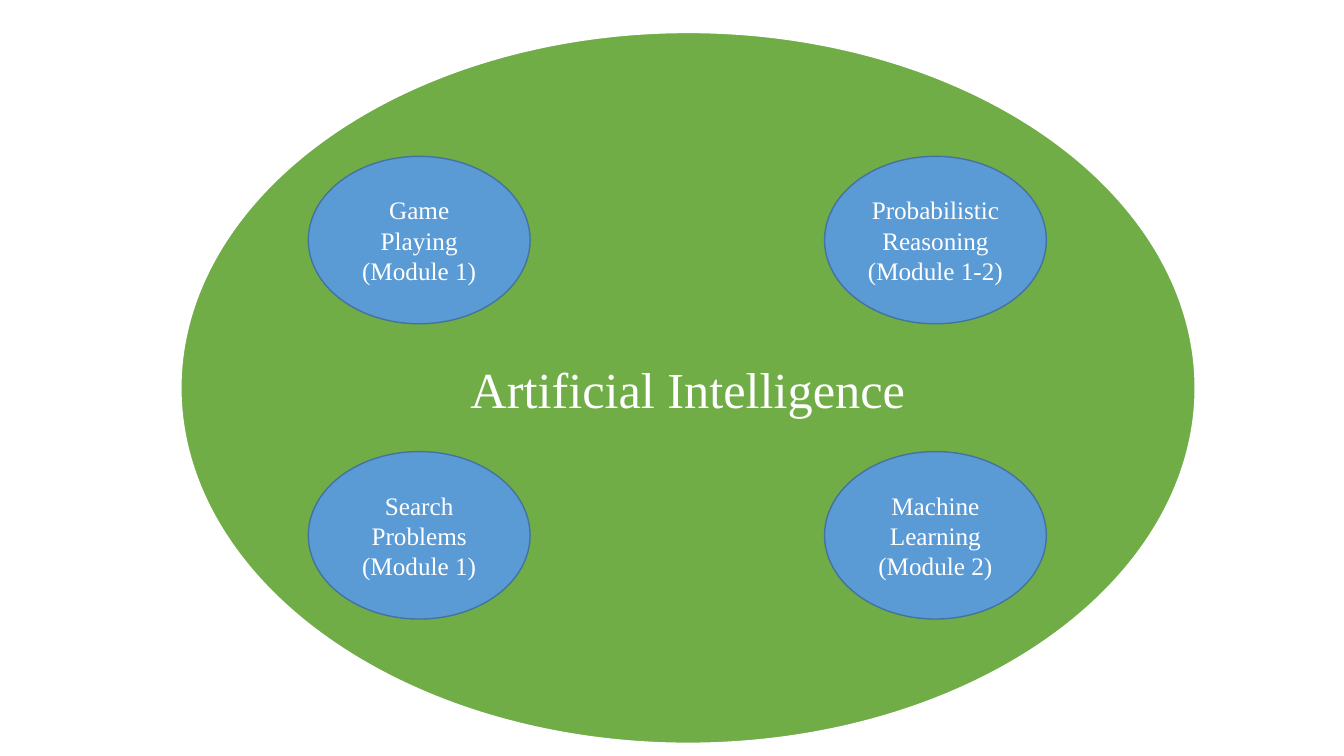
from pptx import Presentation
from pptx.dml.color import RGBColor
from pptx.enum.shapes import MSO_SHAPE
from pptx.enum.text import MSO_ANCHOR, PP_ALIGN
from pptx.util import Cm, Pt

OVAL = MSO_SHAPE.OVAL
MIDDLE = MSO_ANCHOR.MIDDLE
CENTER = PP_ALIGN.CENTER
FONT = "Times New Roman"
WHITE = "FFFFFF"
GREEN = "70AD47"
BLUE = "5B9BD5"
EDGE = "43739E"

TOPICS = [
    ["Game Playing\n(Module 1)", "Probabilistic Reasoning (Module 1-2)"],
    ["Search Problems (Module 1)", "Machine Learning (Module 2)"],
]


def color(code):
    return RGBColor.from_string(code)


def add_oval(slide, box, text, size, fill, edge, width):
    oval = slide.shapes.add_shape(OVAL, *[Cm(length) for length in box])
    oval.shadow.inherit = False
    oval.fill.solid()
    oval.fill.fore_color.rgb = color(fill)
    oval.line.color.rgb = color(edge)
    oval.line.width = Pt(width)
    frame = oval.text_frame
    frame.word_wrap = True
    frame.vertical_anchor = MIDDLE
    frame.text = text
    for para in frame.paragraphs:
        para.alignment = CENTER
        para.font.name = FONT
        para.font.size = Pt(size)
        para.font.color.rgb = color(WHITE)


def add_topics(slide, box):
    left, top, width, height = box
    wide, high = 5.59, 4.22
    for row, names in enumerate(TOPICS):
        for col, name in enumerate(names):
            spot = (left + col * (width - wide), top + row * (height - high), wide, high)
            add_oval(slide, spot, name, 18, BLUE, EDGE, 1)


def add_field(slide, box):
    left, top, width, height = box
    add_oval(slide, box, "Artificial Intelligence", 36, GREEN, WHITE, 1.5)
    add_topics(slide, (left + 3.22, top + 3.13, 18.6, 11.66))


def main():
    deck = Presentation()
    deck.slide_width = Cm(33.87)
    deck.slide_height = Cm(19.05)
    slide = deck.slides.add_slide(deck.slide_layouts[6])
    add_field(slide, (4.55, 0.81, 25.58, 17.93))
    deck.save("out.pptx")


if __name__ == "__main__":
    main()
